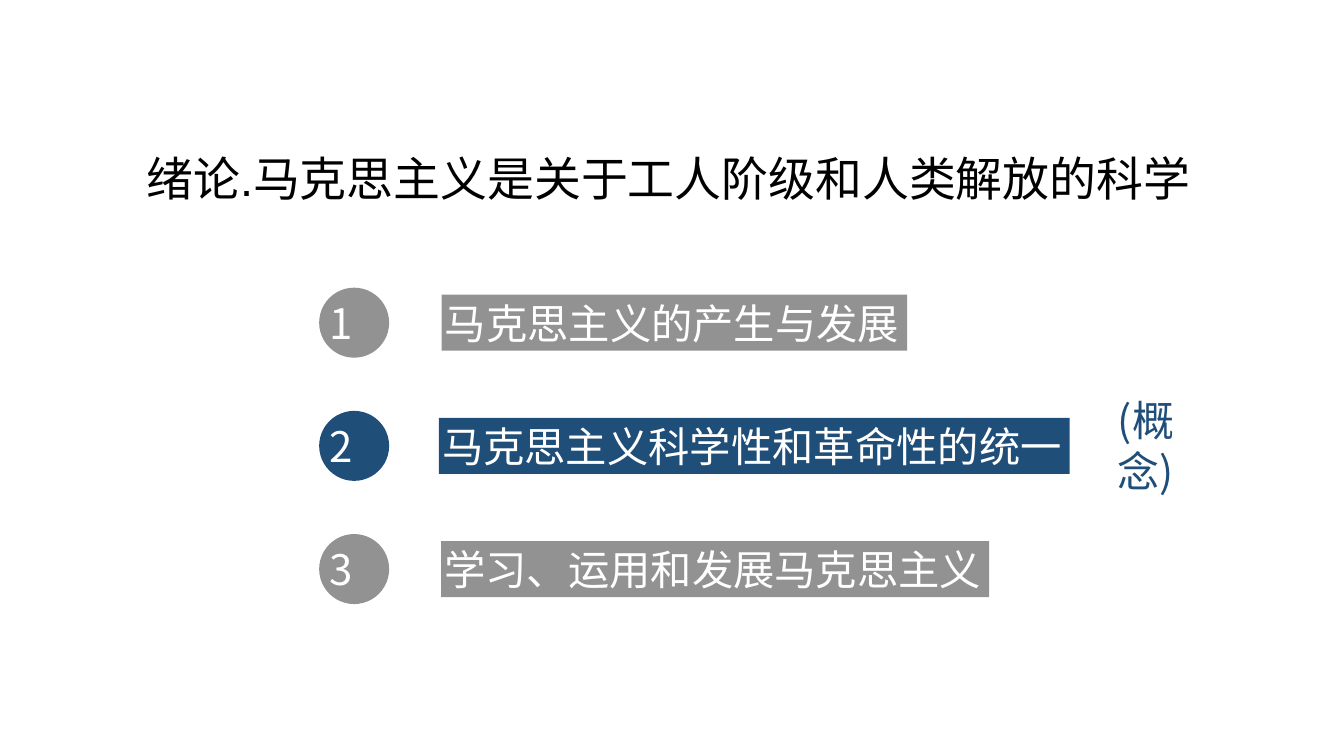
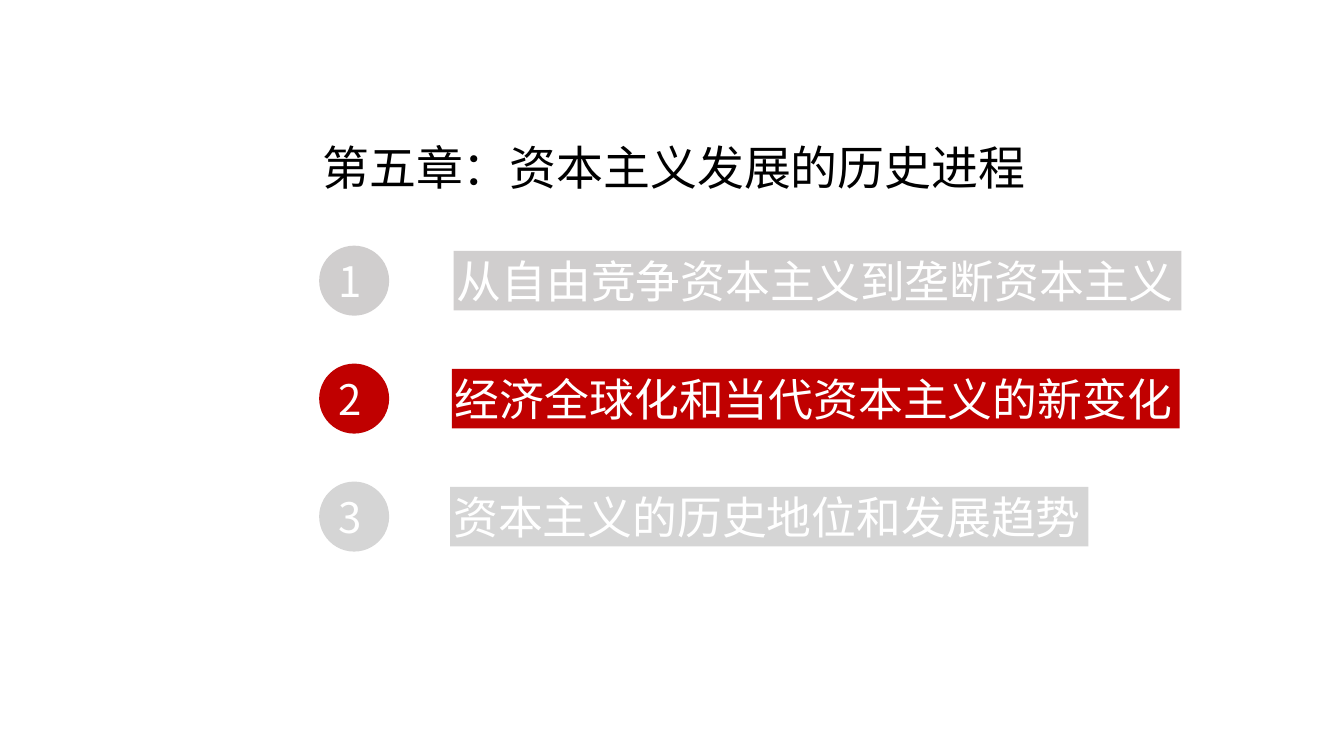
from pptx import Presentation
from pptx.dml.color import RGBColor
from pptx.enum.shapes import MSO_SHAPE
from pptx.enum.text import MSO_ANCHOR, PP_ALIGN
from pptx.oxml.ns import qn
from pptx.util import Pt
from lxml import etree

OVAL, RECTANGLE = MSO_SHAPE.OVAL, MSO_SHAPE.RECTANGLE
MIDDLE, LEFT = MSO_ANCHOR.MIDDLE, PP_ALIGN.LEFT

BLACK = RGBColor(0x00, 0x00, 0x00)
WHITE = RGBColor(0xFF, 0xFF, 0xFF)
GREY = RGBColor(0x92, 0x92, 0x92)
NAVY = RGBColor(0x1F, 0x4E, 0x79)
WARM_GREY = RGBColor(0xD0, 0xCE, 0xCE)
RED = RGBColor(0xC0, 0x00, 0x00)
PALE_GREY = RGBColor(0xD5, 0xD5, 0xD5)

SANS = "Noto Sans CJK SC"
TITLE_SIZE = 33.5
NUMBER_SIZE = 30
INSET = 2.25
CIRCLE = 50
CIRCLE_LEFT = 228
BAR_PADDING = 8


def write(shape, text, size, color, font=SANS, inset=INSET, spacing=None):
    """Fill a shape with one left-aligned, vertically centred paragraph."""
    frame = shape.text_frame
    frame.word_wrap = True
    frame.vertical_anchor = MIDDLE
    frame.margin_left = frame.margin_right = Pt(inset)
    frame.margin_top = frame.margin_bottom = Pt(inset)
    para = frame.paragraphs[0]
    para.alignment = LEFT
    if spacing:
        para.line_spacing = spacing
    span = para.add_run()
    span.text = text
    span.font.size = Pt(size)
    span.font.name = font
    span.font.color.rgb = color
    # The East Asian face follows the Latin one
    east_asian = etree.SubElement(span.font._element, qn("a:ea"))
    east_asian.set("typeface", font)


def add_label(page, box, text, size, color, **style):
    label = page.shapes.add_textbox(*map(Pt, box))
    write(label, text, size, color, **style)


def add_title(page, box, text, font=SANS):
    add_label(page, box, text, TITLE_SIZE, BLACK, font=font, spacing=1.5)


def add_block(page, kind, box, color):
    block = page.shapes.add_shape(kind, *map(Pt, box))
    block.shadow.inherit = False
    block.fill.solid()
    block.fill.fore_color.rgb = color
    block.line.fill.background()
    return block


def add_agenda(page, top, pitch, bar_height, text_size, items, number_indent=0):
    """Numbered circles, each with a bar as wide as its text."""
    for index, (text, bar_left, color) in enumerate(items):
        row_top = top + index * pitch
        circle = add_block(page, OVAL, (CIRCLE_LEFT, row_top, CIRCLE, CIRCLE), color)
        write(circle, str(index + 1), NUMBER_SIZE, WHITE, inset=0)
        circle.text_frame.margin_left = Pt(number_indent)

        bar_top = row_top + (CIRCLE - bar_height) / 2
        bar_width = len(text) * text_size + BAR_PADDING
        bar = add_block(page, RECTANGLE, (bar_left, bar_top, bar_width, bar_height), color)
        write(bar, text, text_size, WHITE)


def build_introduction(page):
    add_title(page, (102.25, 88, 757.5, 58),
              "绪论.马克思主义是关于工人阶级和人类解放的科学", font="Arial")
    add_agenda(page, 205.5, 88, 40, 29.5, [
        ("马克思主义的产生与发展", 315.5, GREY),
        ("马克思主义科学性和革命性的统一", 313.5, NAVY),
        ("学习、运用和发展马克思主义", 315, GREY),
    ])
    # Note beside the current section
    add_label(page, (796.25, 298, 82, 40), "(概念)", NUMBER_SIZE, NAVY)


def build_chapter_five(page):
    add_title(page, (228, 76.5, 511, 65), "第五章：资本主义发展的历史进程")
    add_agenda(page, 175.5, 84.25, 42.5, 32, [
        ("从自由竞争资本主义到垄断资本主义", 324, WARM_GREY),
        ("经济全球化和当代资本主义的新变化", 322.75, RED),
        ("资本主义的历史地位和发展趋势", 321.5, PALE_GREY),
    ], number_indent=6.75)


def main():
    deck = Presentation()
    deck.slide_width, deck.slide_height = Pt(960), Pt(540)
    for build in (build_introduction, build_chapter_five):
        build(deck.slides.add_slide(deck.slide_layouts[6]))
    deck.save("out.pptx")


if __name__ == "__main__":
    main()
